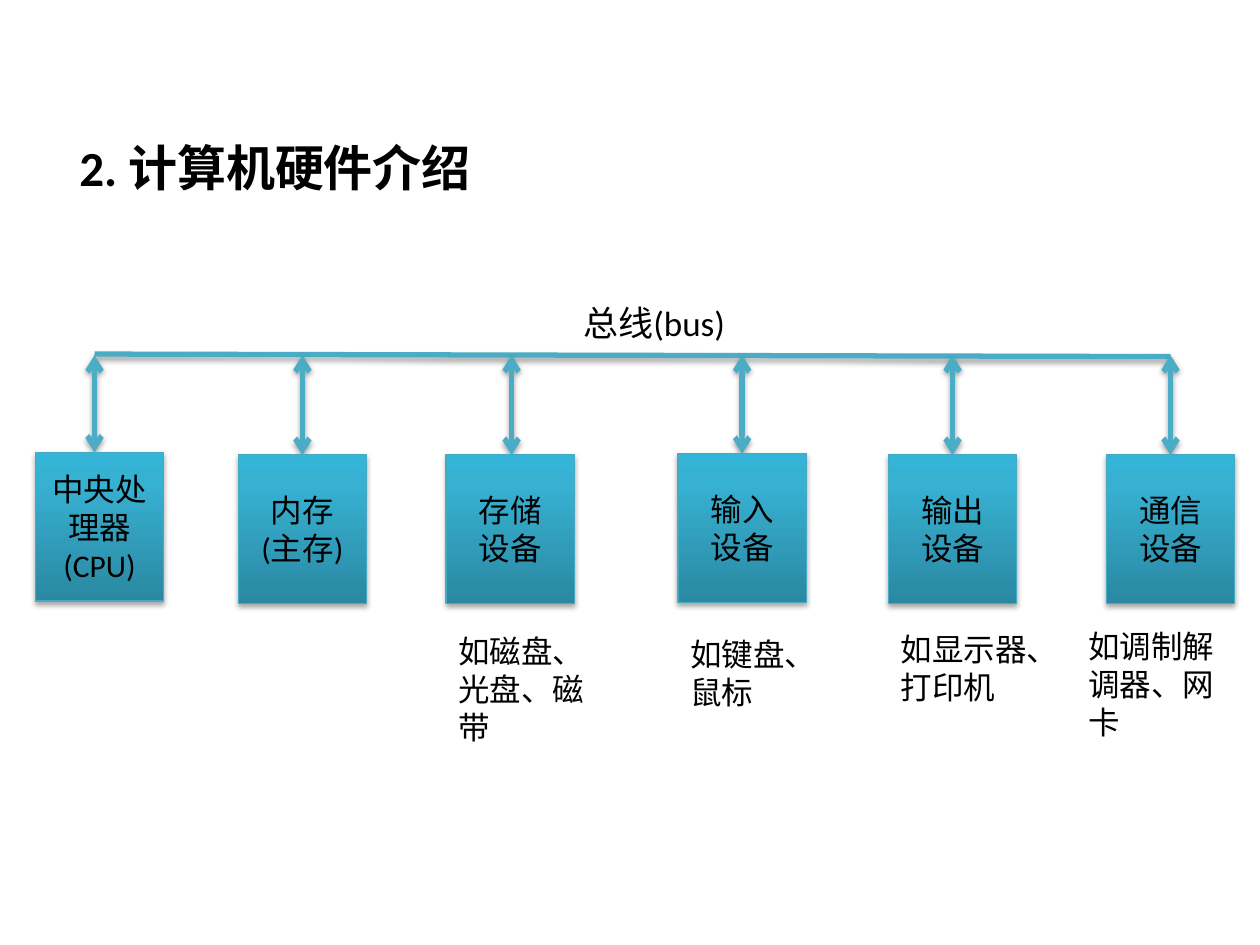
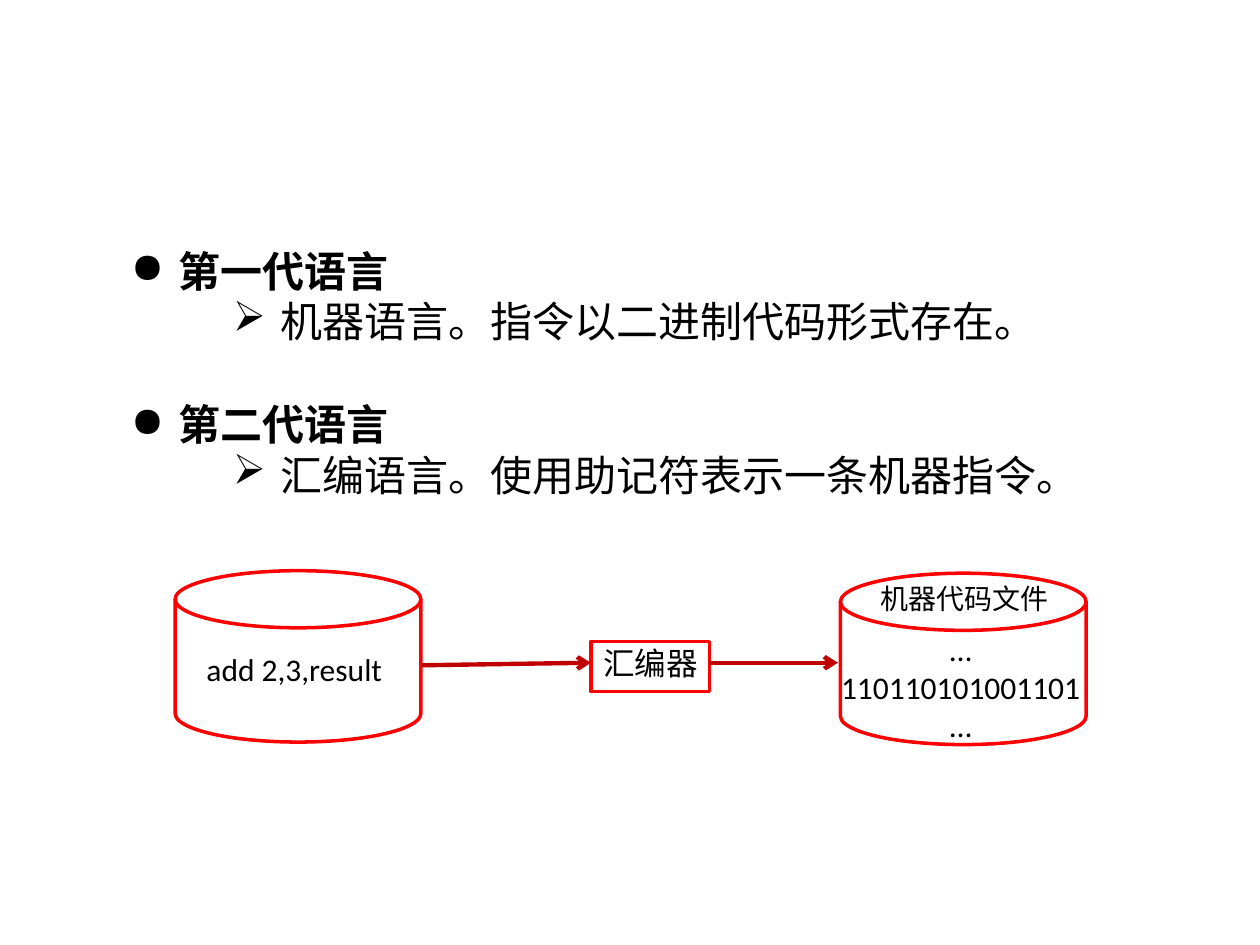
from copy import deepcopy
from typing import NamedTuple

from lxml.etree import SubElement
from pptx import Presentation
from pptx.dml.color import RGBColor
from pptx.enum.shapes import MSO_CONNECTOR, MSO_SHAPE
from pptx.enum.text import MSO_ANCHOR, MSO_AUTO_SIZE, PP_ALIGN
from pptx.oxml.ns import qn
from pptx.util import Inches, Pt

FONT = "Calibri"
BLACK, TEAL, EDGE = "000000", "4BACC6", "46AAC5"
RED, DARK = "FF0000", "C00000"
GRADE = [(0, "2A88A2"), (0.8, "37B1D2"), (1, "34B4D6")]
BOX_W, BOX_H = 1.02, 1.18
BUS_Y = 2.82
DISK_W, DISK_H = 1.95, 1.36


class Device(NamedTuple):
    left: float
    top: float
    stem: float
    text: str


class Label(NamedTuple):
    left: float
    top: float
    width: float
    height: float
    text: str
    size: int = 18
    align: PP_ALIGN = PP_ALIGN.LEFT
    font: str = FONT


class Point(NamedTuple):
    text: str
    level: int
    indent: float
    mark: str
    before: int = 0


DEVICES = [
    Device(0.28, 3.59, 0.75, "中央处理器(CPU)"),
    Device(1.89, 3.61, 2.4, "内存(主存)"),
    Device(3.54, 3.61, 4.06, "存储\n设备"),
    Device(5.38, 3.6, 5.89, "输入\n设备"),
    Device(7.05, 3.61, 7.56, "输出\n设备"),
    Device(8.78, 3.61, 9.29, "通信\n设备"),
]
NOTES = [
    Label(4.53, 2.34, 1.36, 0.44, "总线(bus)", 20),
    Label(3.54, 4.97, 1.22, 1.01, "如磁盘、光盘、磁带"),
    Label(5.38, 4.99, 1.02, 0.71, "如键盘、鼠标"),
    Label(7.05, 4.95, 1.22, 0.71, "如显示器、打印机"),
    Label(8.54, 4.93, 1.26, 1.01, "如调制解调器、网卡"),
]
POINTS = [
    Point("第一代语言", 0, 0.38, "●"),
    Point("机器语言。指令以二进制代码形式存在。", 1, 1.19, "➢"),
    Point("第二代语言", 0, 0.38, "●", 30),
    Point("汇编语言。使用助记符表示一条机器指令。", 1, 1.19, "➢"),
]
CODE = [
    Label(6.89, 4.57, 1.89, 0.37, "机器代码文件", 16),
    Label(1.54, 5.11, 1.97, 0.4, "add 2,3,result"),
    Label(4.69, 5.06, 1.18, 0.4, "汇编器", font="Noto Sans CJK SC"),
    Label(6.57, 4.95, 2.11, 1.01, "…\n110110101001101\n…", align=PP_ALIGN.CENTER),
]


def tint(code: str) -> RGBColor:
    """Turn a hex string into a colour."""
    return RGBColor.from_string(code)


def style(frame, size: int, bold: bool = False, align=PP_ALIGN.LEFT, font: str = FONT) -> None:
    """Format every paragraph and run of a text frame."""
    frame.word_wrap = True
    for para in frame.paragraphs:
        para.alignment = align
        for run in para.runs:
            run.font.name, run.font.size, run.font.bold = font, Pt(size), bold
            run.font.color.rgb = tint(BLACK)


def finish(item, color: str, width: float, cast: bool = False) -> None:
    """Set the outline, and either a soft shadow or none."""
    item.line.color.rgb = tint(color)
    item.line.width = Pt(width)
    effects = SubElement(item._element.spPr, qn("a:effectLst"))
    if cast:
        drop = SubElement(effects, qn("a:outerShdw"), blurRad=str(Pt(3.1)),
                          dist=str(Pt(1.8)), dir="5400000", rotWithShape="0")
        shade = SubElement(drop, qn("a:srgbClr"), val=BLACK)
        SubElement(shade, qn("a:alpha"), val="35000")


def link(slide, start: tuple, stop: tuple, color: str, width: float,
         ends: tuple = (), cast: bool = False) -> None:
    """Draw a straight line with arrowheads at the given ends."""
    line = slide.shapes.add_connector(
        MSO_CONNECTOR.STRAIGHT, *(Inches(n) for n in start + stop))
    finish(line, color, width, cast)
    for end in ends:
        SubElement(line.line._get_or_add_ln(), qn(f"a:{end}"), type="arrow")


def shape(slide, kind, left: float, top: float, width: float, height: float):
    """Add a preset shape without fill."""
    item = slide.shapes.add_shape(
        kind, Inches(left), Inches(top), Inches(width), Inches(height))
    item.fill.background()
    return item


def outline(slide, kind, left: float, top: float, width: float, height: float) -> None:
    """Draw an empty shape with a red outline."""
    finish(shape(slide, kind, left, top, width, height), RED, 2)


def device(slide, part: Device) -> None:
    """Draw a graded box and its arrow to the bus."""
    link(slide, (part.stem, BUS_Y), (part.stem, part.top), TEAL, 3,
         ("headEnd", "tailEnd"), True)
    box = shape(slide, MSO_SHAPE.RECTANGLE, part.left, part.top, BOX_W, BOX_H)
    box.fill.gradient()
    box.fill.gradient_angle = 90
    stops = box._element.spPr.find(f".//{qn('a:gsLst')}")
    stops.append(deepcopy(stops[-1]))
    for stop, (place, color) in zip(box.fill.gradient_stops, GRADE):
        stop.position, stop.color.rgb = place, tint(color)
    finish(box, EDGE, 0.75, True)
    frame = box.text_frame
    frame.text = part.text
    frame.vertical_anchor = MSO_ANCHOR.MIDDLE
    style(frame, 18, align=PP_ALIGN.CENTER)


def label(slide, note: Label):
    """Add a wrapped text box that grows with its text."""
    box = slide.shapes.add_textbox(*(Inches(n) for n in note[:4]))
    frame = box.text_frame
    frame.text = note.text
    frame.auto_size = MSO_AUTO_SIZE.SHAPE_TO_FIT_TEXT
    style(frame, note.size, align=note.align, font=note.font)
    return frame


def outlist(slide) -> None:
    """Add the two-level bulleted list."""
    text = "\n".join(point.text for point in POINTS)
    frame = label(slide, Label(0.94, 1.9, 7.88, 2.54, text, 24))
    for para, point in zip(frame.paragraphs, POINTS):
        para.level = point.level
        para.space_before = Pt(point.before)
        para.runs[0].font.bold = point.level == 0
        props = para._p.get_or_add_pPr()
        props.set("marL", str(Inches(point.indent)))
        props.set("indent", str(Inches(-0.38)))
        SubElement(props, qn("a:buChar"), char=point.mark)


def hardware(deck) -> None:
    """Build the slide of devices on a bus."""
    slide = deck.slides.add_slide(deck.slide_layouts[5])
    title = slide.shapes.title
    title.left, title.top = Inches(0.53), Inches(1.04)
    title.width, title.height = Inches(5.1), Inches(0.57)
    title.text_frame.text = "2. 计算机硬件介绍"
    style(title.text_frame, 28, True)
    link(slide, (DEVICES[0].stem, 2.81), (DEVICES[-1].stem, 2.83), TEAL, 3, cast=True)
    for part in DEVICES:
        device(slide, part)
    for note in NOTES:
        label(slide, note)


def language(deck) -> None:
    """Build the slide of language generations."""
    slide = deck.slides.add_slide(deck.slide_layouts[6])
    outlist(slide)
    for left, top in ((1.39, 4.53), (6.67, 4.55)):
        outline(slide, MSO_SHAPE.FLOWCHART_MAGNETIC_DISK, left, top, DISK_W, DISK_H)
    outline(slide, MSO_SHAPE.RECTANGLE, 4.69, 5.09, 0.94, 0.4)
    link(slide, (3.35, 5.28), (4.69, 5.26), DARK, 2.5, ("tailEnd",))
    link(slide, (5.63, 5.26), (6.65, 5.26), DARK, 2.5, ("tailEnd",))
    for note in CODE:
        label(slide, note)


def main() -> None:
    """Build and save the deck."""
    deck = Presentation()
    deck.slide_width, deck.slide_height = Inches(10), Inches(7.5)
    hardware(deck)
    language(deck)
    deck.save("out.pptx")


if __name__ == "__main__":
    main()
